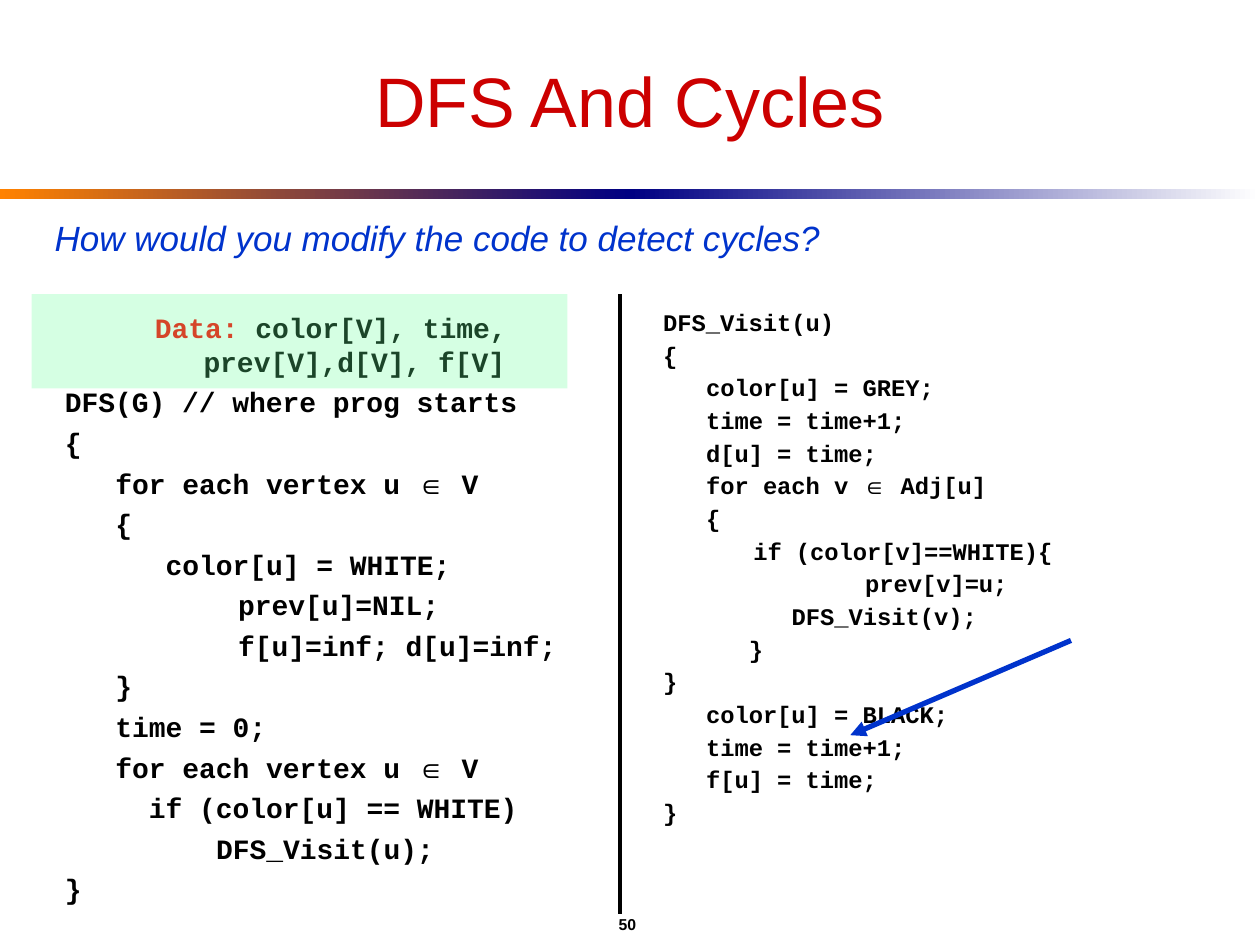
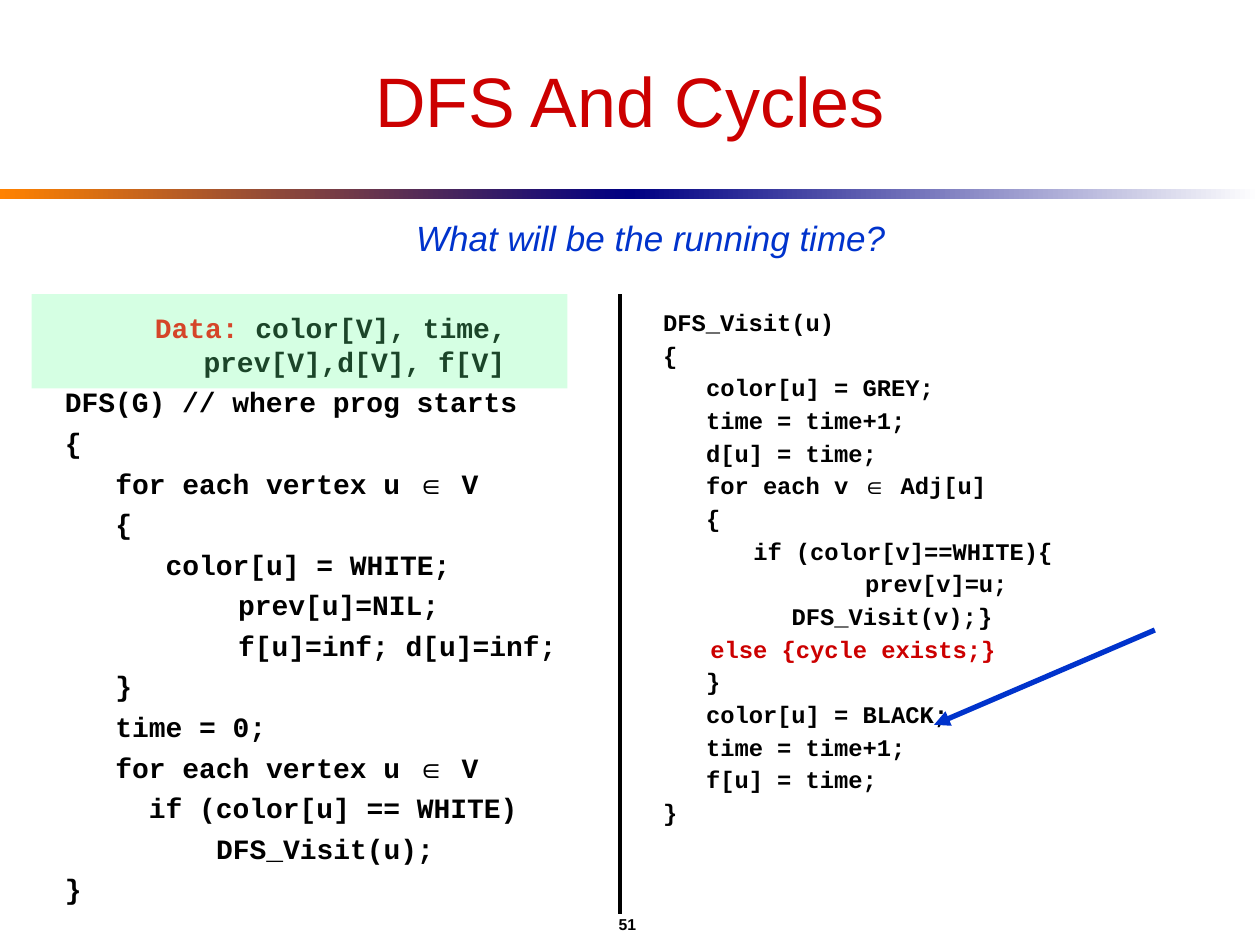
import dataclasses

import pptx
import pptx.dml.color
import pptx.enum.shapes
import pptx.enum.text
import pptx.oxml.ns
import pptx.oxml.xmlchemy
import pptx.util

Cm = pptx.util.Cm
Pt = pptx.util.Pt
ALIGN = pptx.enum.text.PP_ALIGN
ANCHOR = pptx.enum.text.MSO_ANCHOR
SHAPES = pptx.enum.shapes
new_element = pptx.oxml.xmlchemy.OxmlElement


@dataclasses.dataclass(frozen=True)
class Theme:
    sans: str = "Arial"
    mono: str = "Courier New"
    black: str = "000000"
    white: str = "FFFFFF"
    red: str = "CC0000"
    label_red: str = "FF0000"
    blue: str = "0033CC"
    navy: str = "000082"
    orange: str = "FF8200"
    mint: str = "66FF99"
    title_size: float = 40
    question_size: float = 20
    main_size: float = 16
    visit_size: float = 13.6
    number_size: float = 9


@dataclasses.dataclass(frozen=True)
class Box:
    """A region of the page, in centimetres."""
    left: float
    top: float
    width: float
    height: float

    def lengths(self):
        return [Cm(value) for value in (self.left, self.top, self.width, self.height)]

    def inner(self, left, top, width, height):
        return Box(self.left + left, self.top + top, width, height)


@dataclasses.dataclass(frozen=True)
class Line:
    """A line of code, starting a number of character columns from the left."""
    columns: float
    text: str
    color: str = Theme.black
    tab_column: float = 0


PAGE = Box(0, 0, 25.4, 19.05)
THEME = Theme()
HANGING = 0.95

MAIN_CODE = [
    Line(0, "DFS(G) // where prog starts"),
    Line(0, "{"),
    Line(3, "for each vertex u ∈ V"),
    Line(3, "{"),
    Line(6, "color[u] = WHITE;"),
    Line(10.31, "prev[u]=NIL;"),
    Line(10.31, "f[u]=inf; d[u]=inf;"),
    Line(3, "}"),
    Line(3, "time = 0;"),
    Line(3, "for each vertex u ∈ V"),
    Line(5, "if (color[u] == WHITE)"),
    Line(9, "DFS_Visit(u);"),
    Line(0, "}"),
]
VISIT_START = [
    Line(0, "DFS_Visit(u)"),
    Line(0, "{"),
    Line(3, "color[u] = GREY;"),
    Line(3, "time = time+1;"),
    Line(3, "d[u] = time;"),
    Line(3, "for each v ∈ Adj[u]"),
    Line(3, "{"),
    Line(6.31, "if (color[v]==WHITE){"),
    Line(14.14, "prev[v]=u;"),
]
VISIT_END = [
    Line(3, "color[u] = BLACK;"),
    Line(3, "time = time+1;"),
    Line(3, "f[u] = time;"),
    Line(0, "}"),
]
PLAIN_LOOP = [Line(9, "DFS_Visit(v);"), Line(6, "}"), Line(0, "}")]
CYCLE_LOOP = [
    Line(9, "DFS_Visit(v);\t}", tab_column=26),
    Line(3.31, "else {cycle exists;}", THEME.red),
    Line(3, "}"),
]


def rgb(color):
    return pptx.dml.color.RGBColor.from_string(color)


def style(span, font, size, color, bold=False, italic=False):
    span.font.name = font
    span.font.size = Pt(size)
    span.font.color.rgb = rgb(color)
    span.font.bold = bold
    span.font.italic = italic


def add_text_frame(page, box):
    frame = page.shapes.add_textbox(*box.lengths()).text_frame
    frame.word_wrap = True
    return frame


def add_rectangle(page, box):
    rectangle = page.shapes.add_shape(SHAPES.MSO_SHAPE.RECTANGLE, *box.lengths())
    rectangle.shadow.inherit = False
    rectangle.line.fill.background()
    return rectangle


def add_line(page, start, end, color, width, arrow=False):
    connector = page.shapes.add_connector(
        SHAPES.MSO_CONNECTOR.STRAIGHT, *[Cm(value) for value in (*start, *end)])
    connector.line.color.rgb = rgb(color)
    connector.line.width = Pt(width)
    if arrow:
        tail = new_element("a:tailEnd")
        tail.set("type", "triangle")
        connector.line._get_or_add_ln().append(tail)
    connector._element.spPr.append(new_element("a:effectLst"))


def add_title(page, box, text):
    title = page.shapes.title
    title.left, title.top, title.width, title.height = box.lengths()
    title.text_frame.text = text
    title.text_frame.vertical_anchor = ANCHOR.MIDDLE
    para = title.text_frame.paragraphs[0]
    para.alignment = ALIGN.CENTER
    style(para.runs[0], THEME.sans, THEME.title_size, THEME.red)


def add_band(page, box):
    """Draw two gradients that meet in the middle of the box."""
    half = box.width / 2
    gradients = [(THEME.orange, THEME.navy), (THEME.navy, THEME.white)]
    for index, colors in enumerate(gradients):
        fill = add_rectangle(page, box.inner(index * half, 0, half, box.height)).fill
        fill.gradient()
        fill.gradient_angle = 0
        for stop, color in zip(fill.gradient_stops, colors):
            stop.color.rgb = rgb(color)


def add_page_number(page, box, number):
    frame = add_text_frame(page, box)
    frame.vertical_anchor = ANCHOR.MIDDLE
    frame.text = str(number)
    para = frame.paragraphs[0]
    para.alignment = ALIGN.CENTER
    style(para.runs[0], THEME.sans, THEME.number_size, THEME.black, bold=True)


def add_question(page, box, text, alignment):
    frame = add_text_frame(page, box)
    frame.text = text
    para = frame.paragraphs[0]
    para.alignment = alignment
    style(para.runs[0], THEME.sans, THEME.question_size, THEME.blue, italic=True)


def set_indent(para, margin, first_line):
    properties = para._p.get_or_add_pPr()
    properties.set("marL", str(int(margin)))
    properties.set("indent", str(int(first_line)))


def add_tab_stop(para, position):
    stops = new_element("a:tabLst")
    stop = new_element("a:tab")
    stop.set("pos", str(int(position)))
    stop.set("algn", "l")
    stops.append(stop)
    para._p.get_or_add_pPr().append(stops)


def write_code(para, line, size, spacing):
    column = Pt(size) * 0.6
    para.space_before = Pt(4)
    para.line_spacing = spacing
    set_indent(para, 0, line.columns * column)
    if line.tab_column:
        add_tab_stop(para, line.tab_column * column)
    before, member, after = line.text.partition("∈")
    if not member:
        para.text = before
        style(para.runs[0], THEME.mono, size, line.color, bold=True)
        return
    for text, font in ((before, THEME.mono), (member, THEME.sans), (after, THEME.mono)):
        span = para.add_run()
        span.text = text
        style(span, font, size, line.color, bold=True)


def add_main_code(page, box):
    """Write the global data and the main routine."""
    frame = add_text_frame(page, box)
    data = frame.paragraphs[0]
    data.alignment = ALIGN.CENTER
    data.space_before = Pt(4)
    set_indent(data, Cm(HANGING), -Cm(HANGING))
    parts = [("Data: ", THEME.label_red),
             ("color[V], time, prev[V],d[V], f[V]", THEME.black)]
    for text, color in parts:
        span = data.add_run()
        span.text = text
        style(span, THEME.mono, THEME.main_size, color, bold=True)
    for line in MAIN_CODE:
        write_code(frame.add_paragraph(), line, THEME.main_size, 1.0)


def add_data_highlight(page, box):
    fill = add_rectangle(page, box).fill
    fill.solid()
    fill.fore_color.rgb = rgb(THEME.mint)
    alpha = new_element("a:alpha")
    alpha.set("val", "27000")
    fill._xPr.find(".//" + pptx.oxml.ns.qn("a:srgbClr")).append(alpha)


def add_visit_code(page, box, loop):
    frame = add_text_frame(page, box)
    for index, line in enumerate(VISIT_START + loop + VISIT_END):
        para = frame.add_paragraph() if index else frame.paragraphs[0]
        write_code(para, line, THEME.visit_size, 0.9)


def add_code_area(page, box, loop):
    add_main_code(page, box.inner(0.42, 0.21, 11.22, 12.91))
    add_visit_code(page, box.inner(12.48, 0.21, 11.22, 12.07), loop)
    divider = box.left + 11.85
    add_line(page, (divider, box.top + box.height), (divider, box.top), THEME.black, 2.25)
    add_data_highlight(page, box.inner(0, 0, 10.8, 1.9))


def add_cycle_page(deck, box, number, question, alignment, loop, arrow_start):
    page = deck.slides.add_slide(deck.slide_layouts.get_by_name("Title Only"))
    add_band(page, box.inner(0, 3.81, box.width, 0.21))
    add_page_number(page, box.inner(1.22, 18.21, 22.86, 0.84), number)
    add_title(page, box.inner(1.27, 0.64, 22.86, 2.75), "DFS And Cycles")
    add_code_area(page, box.inner(0.64, 5.93, 24.13, 12.49), loop)
    add_question(page, box.inner(0.85, 4.23, 24.55, 1.11), question, alignment)
    left, top = arrow_start
    add_line(page, (left, top), (left - 4.45, top + 1.91), THEME.blue, 3, arrow=True)


def main():
    deck = pptx.Presentation()
    deck.slide_width, deck.slide_height = Cm(PAGE.width), Cm(PAGE.height)
    add_cycle_page(deck, PAGE, 50, "How would you modify the code to detect cycles?",
                   ALIGN.LEFT, PLAIN_LOOP, (21.59, 12.91))
    add_cycle_page(deck, PAGE, 51, "What will be the running time?",
                   ALIGN.CENTER, CYCLE_LOOP, (23.28, 12.7))
    deck.save("out.pptx")


if __name__ == "__main__":
    main()
